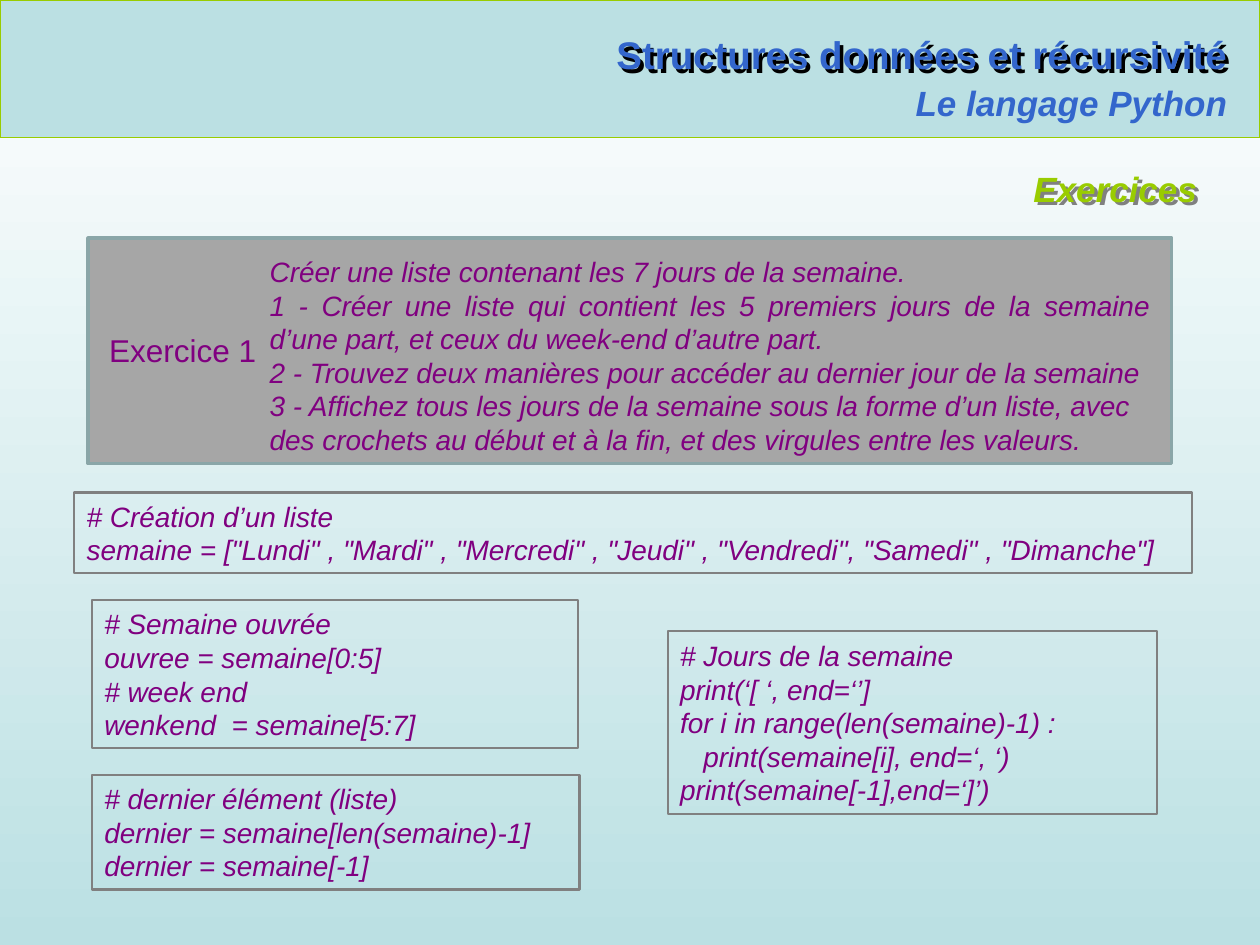
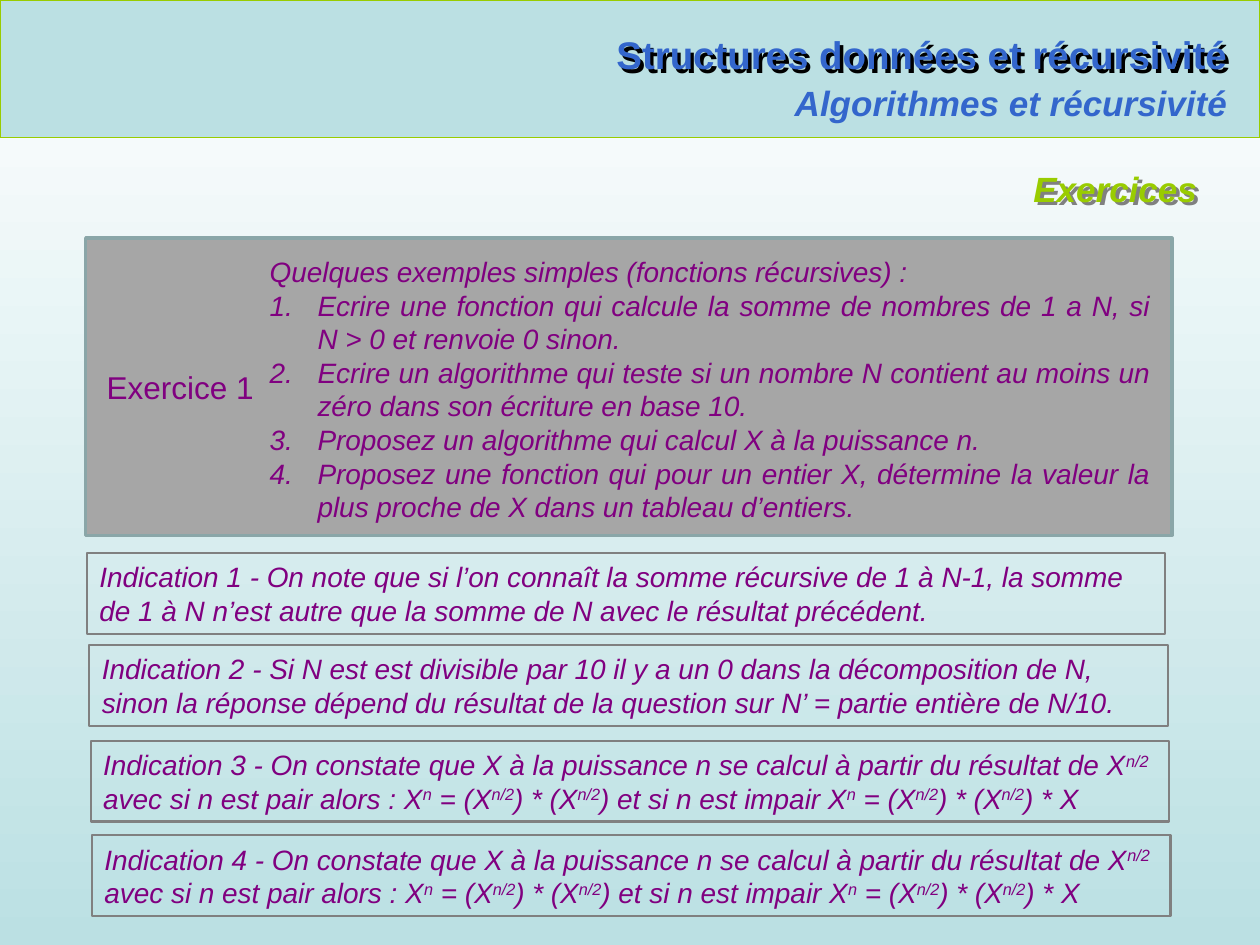
import pptx
import pptx.dml.color
import pptx.enum.shapes
import pptx.enum.text
import pptx.oxml.ns
import pptx.util
from lxml import etree

Inches = pptx.util.Inches
Pt = pptx.util.Pt
ALIGN = pptx.enum.text.PP_ALIGN
ANCHOR = pptx.enum.text.MSO_ANCHOR
RECTANGLE = pptx.enum.shapes.MSO_SHAPE.RECTANGLE
qn = pptx.oxml.ns.qn

AQUA, BLUE, GREEN, PURPLE = "BBE0E3", "3366CC", "99CC00", "800080"
GREY, PANEL, PANEL_EDGE = "808080", "A6A6A6", "8AA6A8"


def paint(target, colour):
    target.rgb = pptx.dml.color.RGBColor.from_string(colour)


def write(shape, lines, size=16, colour=PURPLE, bold=False, italic=True,
          align=ALIGN.LEFT, anchor=ANCHOR.TOP, wrap=True, numbered=False, shadow=None):
    frame = shape.text_frame
    frame.word_wrap = wrap
    frame.auto_size = pptx.enum.text.MSO_AUTO_SIZE.NONE
    frame.vertical_anchor = anchor
    for number, line in enumerate(lines):
        paragraph = frame.paragraphs[0] if number == 0 else frame.add_paragraph()
        paragraph.alignment = align
        paragraph.space_before = Pt(0)
        in_list = numbered and number > 0
        properties = paragraph._p.get_or_add_pPr()
        indent = Inches(0.38) if in_list else 0
        properties.set("marL", str(indent))
        properties.set("indent", str(-indent))
        bullet = etree.SubElement(properties, qn("a:buAutoNum" if in_list else "a:buNone"))
        if in_list:
            bullet.set("type", "arabicPeriod")
        for position, piece in enumerate(line.split("|")):
            run = paragraph.add_run()
            run.text = piece
            run.font.name = "Arial"
            run.font.size = Pt(size)
            run.font.bold = bold
            run.font.italic = italic
            paint(run.font.color, colour)
            if position % 2:
                run._r.get_or_add_rPr().set("baseline", "30000")
    shape.shadow.inherit = False
    if shadow:
        effects = shape._element.spPr.find(qn("a:effectLst"))
        cast = etree.SubElement(effects, qn("a:outerShdw"), dist="35921", dir="2700000")
        etree.SubElement(cast, qn("a:srgbClr"), val=shadow)


power_rule = ("On constate que X à la puissance n se calcul à partir du résultat de X|n/2| "
              "avec si n est pair alors : X|n| = (X|n/2|) * (X|n/2|) "
              "et si n est impair X|n| = (X|n/2|) * (X|n/2|) * X")

lessons = [
    {
        "chapter": "Le langage Python",
        "panel": (0.7, 1.89, 8.6, 1.79),
        "label": (0.75, 2.58, 1.4, 0.4),
        "numbered": False,
        "last_align": ALIGN.LEFT,
        "statement": [
            "Créer une liste contenant les 7 jours de la semaine.",
            "1 - Créer une liste qui contient les 5 premiers jours de la semaine "
            "d’une part, et ceux du week-end d’autre part.",
            "2 - Trouvez deux manières pour accéder au dernier jour de la semaine",
            "3 - Affichez tous les jours de la semaine sous la forme d’un liste, "
            "avec des crochets au début et à la fin, et des virgules entre les valeurs.",
        ],
        "answers": [
            ((0.59, 3.91, 8.87, 0.64), [
                "# Création d’un liste",
                'semaine = ["Lundi" , "Mardi" , "Mercredi" , "Jeudi" , "Vendredi", '
                '"Samedi" , "Dimanche"]']),
            ((0.73, 4.76, 3.86, 1.18), [
                "# Semaine ouvrée",
                "ouvree = semaine[0:5]",
                "# week end",
                "wenkend  = semaine[5:7]"]),
            ((0.73, 6.15, 3.87, 0.91), [
                "# dernier élément (liste)",
                "dernier = semaine[len(semaine)-1]",
                "dernier = semaine[-1]"]),
            ((5.3, 5.01, 3.88, 1.45), [
                "# Jours de la semaine",
                "print(‘[ ‘, end=‘’]",
                "for i in range(len(semaine)-1) :",
                "   print(semaine[i], end=‘, ‘)",
                "print(semaine[-1],end=‘]’)"]),
        ],
    },
    {
        "chapter": "Algorithmes et récursivité",
        "panel": (0.68, 1.89, 8.62, 2.36),
        "label": (0.73, 2.87, 1.4, 0.42),
        "numbered": True,
        "last_align": ALIGN.JUSTIFY,
        "statement": [
            "Quelques exemples simples (fonctions récursives) :",
            "Ecrire une fonction qui calcule la somme de nombres de 1 a N, "
            "si N > 0 et renvoie 0 sinon.",
            "Ecrire un algorithme qui teste si un nombre N contient au moins un zéro "
            "dans son écriture en base 10.",
            "Proposez un algorithme qui calcul X à la puissance n.",
            "Proposez une fonction qui pour un entier X, détermine la valeur la plus "
            "proche de X dans un tableau d’entiers.",
        ],
        "answers": [
            ((0.69, 4.39, 8.56, 0.64), [
                "Indication 1 - On note que si l’on connaît la somme récursive de 1 à N-1, "
                "la somme de 1 à N n’est autre que la somme de N avec le résultat précédent."]),
            ((0.71, 5.12, 8.56, 0.64), [
                "Indication 2 - Si N est est divisible par 10 il y a un 0 dans la "
                "décomposition de N, sinon la réponse dépend du résultat de la question "
                "sur N’ = partie entière de N/10."]),
            ((0.72, 5.88, 8.56, 0.64), ["Indication 3 - " + power_rule]),
            ((0.73, 6.63, 8.56, 0.64), ["Indication 4 - " + power_rule]),
        ],
    },
]

deck = pptx.Presentation()
deck.slide_width = Inches(10)
deck.slide_height = Inches(7.5)

for lesson in lessons:
    slide = deck.slides.add_slide(deck.slide_layouts[1])
    shapes = slide.shapes
    backdrop = slide.background.fill
    backdrop.gradient()
    backdrop.gradient_angle = 270
    for stop, colour in zip(backdrop.gradient_stops, ("FFFFFF", AQUA)):
        paint(stop.color, colour)

    for area, fill, edge, width in (((0, 0, 10, 1.09), AQUA, GREEN, 0.75),
                                    (lesson["panel"], PANEL, PANEL_EDGE, 2)):
        block = shapes.add_shape(RECTANGLE, *map(Inches, area))
        block.shadow.inherit = False
        block.fill.solid()
        paint(block.fill.fore_color, fill)
        paint(block.line.color, edge)
        block.line.width = Pt(width)

    heading = shapes.title
    statement = slide.placeholders[1]
    for holder, area in ((heading, (4.73, 0.2, 5.11, 0.47)),
                         (statement, (2.04, 1.97, 7.19, lesson["panel"][3] - 0.08))):
        holder.left, holder.top, holder.width, holder.height = map(Inches, area)
        shapes._spTree.append(holder._element)
    write(heading, ["Structures données et récursivité"], size=22, colour=BLUE, bold=True,
          italic=False, align=ALIGN.RIGHT, wrap=False, shadow="000000")
    write(statement, lesson["statement"], align=ALIGN.JUSTIFY, numbered=lesson["numbered"])
    statement.text_frame.paragraphs[-1].alignment = lesson["last_align"]

    chapter = shapes.add_textbox(*map(Inches, (4.73, 0.6, 5.11, 0.44)))
    write(chapter, [lesson["chapter"]], size=20, colour=BLUE, bold=True,
          align=ALIGN.RIGHT, wrap=False)

    rule = shapes.add_connector(pptx.enum.shapes.MSO_CONNECTOR.STRAIGHT,
                                *map(Inches, (0.34, 1.09, 9.76, 1.09)))
    paint(rule.line.color, GREEN)
    rule.line.width = Pt(0.75)
    etree.SubElement(rule._element.spPr, qn("a:effectLst"))

    section = shapes.add_textbox(*map(Inches, (4.2, 1.28, 5.4, 0.44)))
    write(section, ["Exercices"], size=20, colour=GREEN, bold=True,
          align=ALIGN.RIGHT, shadow=GREY)

    label = shapes.add_textbox(*map(Inches, lesson["label"]))
    write(label, ["Exercice 1"], size=18, italic=False, align=ALIGN.CENTER, wrap=False)

    for area, lines in lesson["answers"]:
        answer = shapes.add_shape(RECTANGLE, *map(Inches, area))
        answer.fill.background()
        paint(answer.line.color, GREY)
        answer.line.width = Pt(1.25)
        write(answer, lines, anchor=ANCHOR.MIDDLE)

deck.save("out.pptx")
